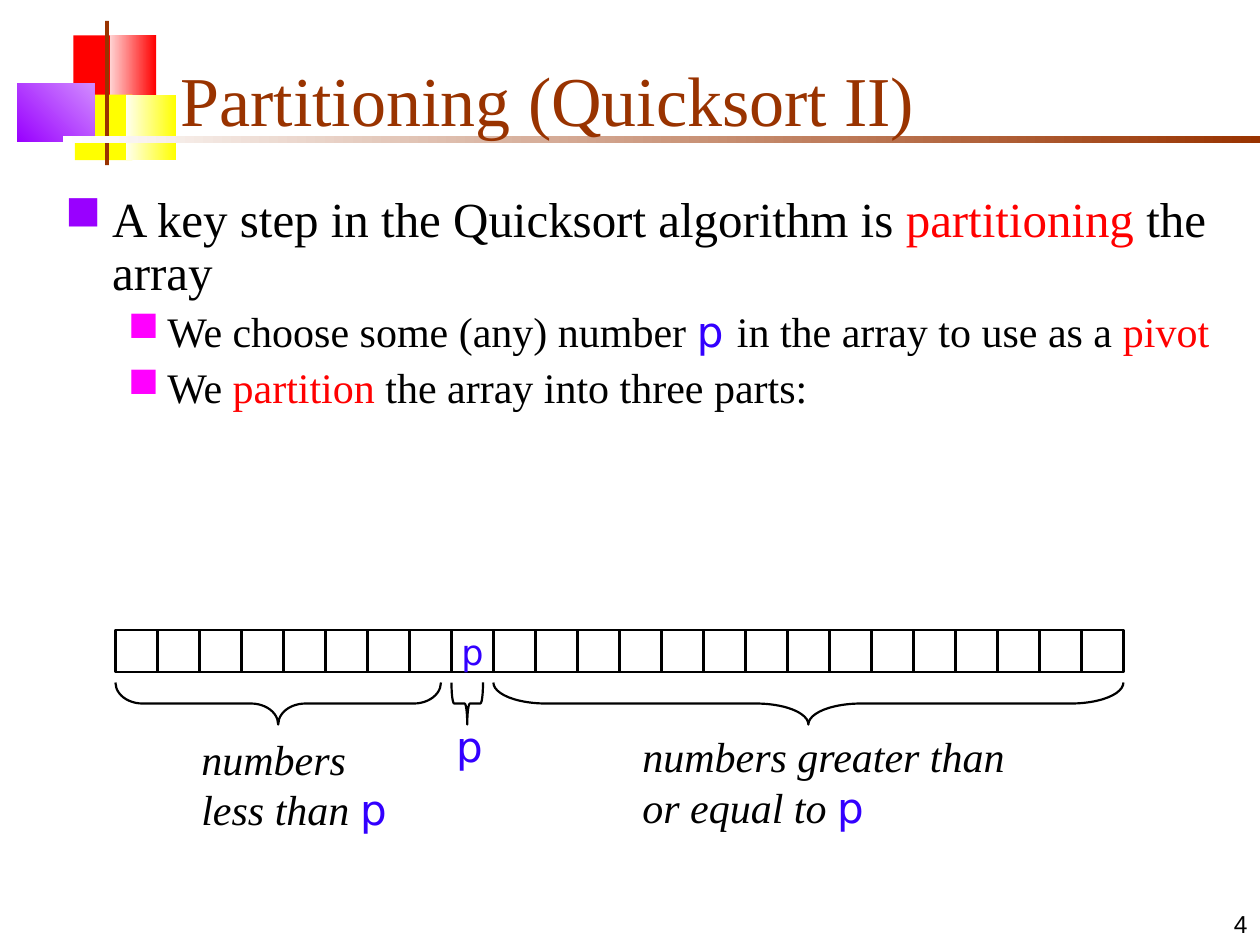
from lxml import etree
from pptx import Presentation
from pptx.dml.color import RGBColor
from pptx.enum.shapes import MSO_SHAPE as SHAPE
from pptx.enum.text import MSO_ANCHOR as ANCHOR, PP_ALIGN as ALIGN
from pptx.oxml.ns import qn
from pptx.util import Pt

PX = 9525
SERIF, SANS, MONO = "Times New Roman", "Arial", "DejaVu Sans"
BLACK = RGBColor(0x00, 0x00, 0x00)
RED = RGBColor(0xFF, 0x00, 0x00)
PINK = RGBColor(0xFF, 0xD1, 0xD1)
YELLOW = RGBColor(0xFF, 0xFF, 0x00)
CREAM = RGBColor(0xFF, 0xFF, 0xF0)
PURPLE = RGBColor(0x99, 0x00, 0xFF)
LILAC = RGBColor(0xD1, 0x8B, 0xFF)
MAGENTA = RGBColor(0xFF, 0x00, 0xFF)
BROWN = RGBColor(0x99, 0x33, 0x00)
WHITE = RGBColor(0xFF, 0xFF, 0xFF)
BLUE = RGBColor(0x33, 0x00, 0xFF)

CELL, CELLS, PIVOT = 32, 24, 8


def emu(*lengths):
    return [round(length * PX) for length in lengths]


def add_run(paragraph, text, size, color=BLACK, face=SERIF, italic=False):
    run = paragraph.add_run()
    run.text = text
    font = run.font
    font.size, font.name, font.italic = Pt(size), face, italic
    font.color.rgb = color


def add_text(slide, box, runs, anchor=ANCHOR.TOP, align=ALIGN.LEFT):
    frame = slide.shapes.add_textbox(*emu(*box)).text_frame
    frame.word_wrap = True
    frame.vertical_anchor = anchor
    paragraph = frame.paragraphs[0]
    paragraph.alignment = align
    for run in runs:
        add_run(paragraph, *run)


def add_block(slide, box, colors, angle=0):
    block = slide.shapes.add_shape(SHAPE.RECTANGLE, *emu(*box))
    block.shadow.inherit = False
    block.line.fill.background()
    if len(colors) == 1:
        block.fill.solid()
        block.fill.fore_color.rgb = colors[0]
        return
    block.fill.gradient()
    block.fill.gradient_angle = angle
    for stop, color in zip(block.fill.gradient_stops, colors):
        stop.color.rgb = color


def add_outline(slide, kind, box):
    outline = slide.shapes.add_shape(kind, *emu(*box))
    outline.shadow.inherit = False
    outline.fill.background()
    outline.line.color.rgb = BLACK
    outline.line.width = Pt(1.25)
    return outline


def add_bullet(paragraph, color, margin, hang):
    props = paragraph._p.get_or_add_pPr()
    props.set("marL", str(margin * PX))
    props.set("indent", str(-hang * PX))
    tint = etree.SubElement(props, qn("a:buClr"))
    etree.SubElement(tint, qn("a:srgbClr"), val=str(color))
    etree.SubElement(props, qn("a:buChar"), char="■")


def draw_header(slide, box):
    left, top, width, height = box
    ornament = [
        ((56, 27, 34, 50), [RED], 0),
        ((84, 27, 35, 50), [PINK, RED], 0),
        ((57, 72, 44, 50), [YELLOW], 0),
        ((96, 72, 38, 50), [CREAM, YELLOW], 0),
        ((13, 64, 59, 44), [PURPLE, LILAC], 45),
        ((80, 16, 3, 110), [BROWN], 0),
        ((48, 104, width - 48, 5), [WHITE, BROWN], 0),
    ]
    for (x, y, w, h), colors, angle in ornament:
        add_block(slide, (left + x, top + y, w, h), colors, angle)
    add_text(slide, (left + 128, top + 24, width - 142, height - 38),
             [("Partitioning (Quicksort II)", 40, BROWN)], ANCHOR.BOTTOM)


def draw_points(slide, box):
    points = [
        (0, [("A key step in the Quicksort algorithm is ", 28),
             ("partitioning", 28, RED), (" the array", 28)]),
        (1, [("We choose some (any) number ", 24), ("p ", 24, BLUE, MONO),
             ("in the array to use as a ", 24), ("pivot", 24, RED)]),
        (1, [("We ", 24), ("partition", 24, RED),
             (" the array into three parts:", 24)]),
    ]
    bullets = [(PURPLE, 36, 36), (MAGENTA, 78, 30)]
    frame = slide.shapes.add_textbox(*emu(*box)).text_frame
    frame.word_wrap = True
    for index, (level, runs) in enumerate(points):
        paragraph = frame.add_paragraph() if index else frame.paragraphs[0]
        add_bullet(paragraph, *bullets[level])
        paragraph.level = level
        paragraph.line_spacing = 0.9
        if index:
            paragraph.space_before = Pt(6)
        for run in runs:
            add_run(paragraph, *run)


def draw_brace(slide, box):
    left, top, span, depth = box
    shift = (span - depth) / 2
    brace = add_outline(slide, SHAPE.LEFT_BRACE,
                        (left + shift, top - shift, depth, span))
    brace.rotation = 270
    brace.adjustments[0] = span / 12 / min(span, depth)


def draw_array(slide, box):
    left, top, width, height = box
    for index in range(CELLS):
        cell = add_outline(slide, SHAPE.RECTANGLE,
                           (left + index * CELL, top, CELL, CELL))
        if index == PIVOT:
            frame = cell.text_frame
            frame.word_wrap = False
            frame.vertical_anchor = ANCHOR.MIDDLE
            frame.paragraphs[0].alignment = ALIGN.CENTER
            add_run(frame.paragraphs[0], "p", 20, BLUE, MONO)

    pivot_name = ("p", 24, BLUE, MONO)
    parts = [
        (0, PIVOT, 8, (56, 74, 183, 86),
         [("numbers less than ", 24, BLACK, SERIF, True), pivot_name]),
        (PIVOT, 1, 8, (250, 64, 46, 48), [pivot_name]),
        (PIVOT + 1, CELLS - PIVOT - 1, 0, (392, 72, 296, 86),
         [("numbers greater than or equal to ", 24, BLACK, SERIF, True),
          pivot_name]),
    ]
    for first, count, gap, (x, y, w, h), runs in parts:
        draw_brace(slide, (left + first * CELL, top + 40,
                           count * CELL - gap, 32))
        add_text(slide, (left + x, top + y, w, h), runs)


def main():
    deck = Presentation()
    deck.slide_width, deck.slide_height = emu(960, 720)
    slide = deck.slides.add_slide(deck.slide_layouts[6])
    draw_header(slide, (0, 0, 960, 126))
    draw_points(slide, (40, 144, 900, 275))
    draw_array(slide, (88, 480, CELL * CELLS, 160))
    add_text(slide, (760, 672, 200, 48), [("4", 14, BLACK, SANS)],
             ANCHOR.BOTTOM, ALIGN.RIGHT)
    deck.save("out.pptx")


if __name__ == "__main__":
    main()
